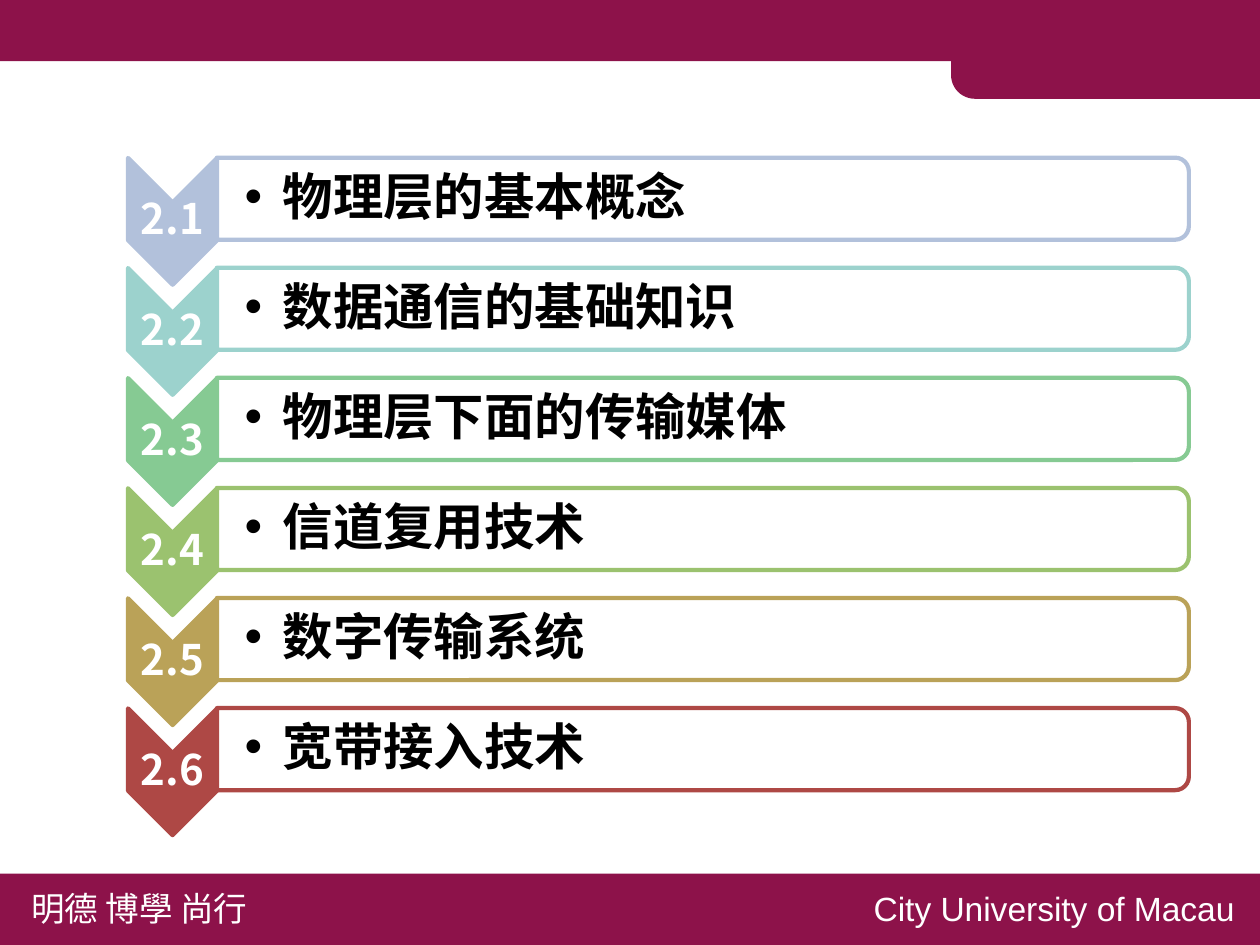
from dataclasses import dataclass
from lxml.etree import SubElement
from pptx import Presentation
from pptx.dml.color import RGBColor
from pptx.enum.shapes import MSO_SHAPE as Shp
from pptx.enum.text import MSO_ANCHOR as Anchor, MSO_AUTO_SIZE as AutoSize, PP_ALIGN as Align
from pptx.oxml.ns import qn
from pptx.shapes.autoshape import Shape
from pptx.slide import Slide
from pptx.text.text import _Paragraph as Paragraph
from pptx.util import Cm, Pt

COLORS = {
    "brand": "8D124A", "white": "FFFFFF", "black": "000000",
    "blue": "B2C1DB", "teal": "9CD2CD", "green": "86CA93",
    "lime": "9BC26F", "gold": "BAA258", "red": "AE4845",
}
CJK = "Noto Sans CJK SC"
FIRST_TOP, PITCH = 2.65, 1.85


@dataclass
class Section:
    number: str
    title: str
    color: str


@dataclass
class Label:
    text: str
    left: float
    top: float
    width: float
    height: float
    size: int
    color: str = "white"
    font: str = CJK
    bold: bool = False


SECTIONS = [
    Section("2.1", "物理层的基本概念", "blue"),
    Section("2.2", "数据通信的基础知识", "teal"),
    Section("2.3", "物理层下面的传输媒体", "green"),
    Section("2.4", "信道复用技术", "lime"),
    Section("2.5", "数字传输系统", "gold"),
    Section("2.6", "宽带接入技术", "red"),
]
FOOTERS = [
    Label("明德 博學 尚行", 0.28, 14.8, 4.27, 0.94, 16),
    Label("City University of Macau", 14.43, 14.8, 6.65, 0.94, 16, font="Arial"),
]


def rgb(name: str) -> RGBColor:
    return RGBColor.from_string(COLORS[name])


def add_shape(s: Slide, kind: Shp, cx: float, cy: float, width: float, height: float,
              fill: str, line: str | None = None, rotation: int = 0) -> Shape:
    sp = s.shapes.add_shape(kind, Cm(cx - width / 2), Cm(cy - height / 2), Cm(width), Cm(height))
    sp.rotation = rotation
    sp.shadow.inherit = False
    sp.fill.solid()
    sp.fill.fore_color.rgb = rgb(fill)
    if line:
        sp.line.color.rgb = rgb(line)
        sp.line.width = Pt(2)
    else:
        sp.line.fill.background()
    return sp


def add_label(s: Slide, label: Label) -> Shape:
    sp = s.shapes.add_textbox(Cm(label.left), Cm(label.top), Cm(label.width), Cm(label.height))
    tf = sp.text_frame
    tf.text = label.text
    r = tf.paragraphs[0].runs[0]
    r.font.name = label.font
    r.font.size = Pt(label.size)
    r.font.bold = label.bold
    r.font.color.rgb = rgb(label.color)
    SubElement(r.font._element, qn("a:ea"), typeface=label.font)
    return sp


def set_frame(sp: Shape, left_inset: float, inset: float) -> Paragraph:
    tf = sp.text_frame
    tf.word_wrap = True
    tf.vertical_anchor = Anchor.MIDDLE
    tf.margin_left = Cm(left_inset)
    tf.margin_top = tf.margin_right = tf.margin_bottom = Cm(inset)
    p = tf.paragraphs[0]
    p.line_spacing = 0.9
    return p


def add_bullet(p: Paragraph) -> None:
    pPr = p._p.get_or_add_pPr()
    pPr.set("marL", str(Cm(0.64)))
    pPr.set("indent", str(Cm(-0.64)))
    SubElement(pPr, qn("a:buFont"), typeface="Arial")
    SubElement(pPr, qn("a:buChar"), char="•")


def add_section(s: Slide, section: Section, top: float) -> None:
    add_shape(s, Shp.CHEVRON, 2.9, top + 1.07, 2.13, 1.5, section.color, section.color, 90)
    number = add_label(s, Label(section.number, 2.15, top + 0.75, 1.5, 0.64, 20, bold=True))
    set_frame(number, 0.02, 0.02).alignment = Align.CENTER
    add_shape(s, Shp.ROUND_2_SAME_RECTANGLE, 11.81, top + 0.69, 1.38, 16.33,
              "white", section.color, 90)
    title = add_label(s, Label(section.title, 3.63, top + 0.07, 16.28, 1.24, 24, "black", bold=True))
    add_bullet(set_frame(title, 0.48, 0.04))


def add_frame(s: Slide) -> None:
    add_shape(s, Shp.RECTANGLE, 10.58, 0.5, 21.2, 1.06, "brand")
    tab = add_shape(s, Shp.ROUND_2_SAME_RECTANGLE, 18.58, 0.86, 1.6, 5.2, "brand", rotation=270)
    tab.adjustments[0] = 0.25
    add_shape(s, Shp.RECTANGLE, 10.58, 15.3, 21.2, 1.24, "brand")
    for footer in FOOTERS:
        tf = add_label(s, footer).text_frame
        tf.word_wrap = False
        tf.auto_size = AutoSize.SHAPE_TO_FIT_TEXT


def main() -> None:
    prs = Presentation()
    prs.slide_width, prs.slide_height = Cm(21.17), Cm(15.88)
    s = prs.slides.add_slide(prs.slide_layouts[6])
    add_frame(s)
    for i, section in enumerate(SECTIONS):
        add_section(s, section, FIRST_TOP + i * PITCH)
    prs.save("out.pptx")


if __name__ == "__main__":
    main()
